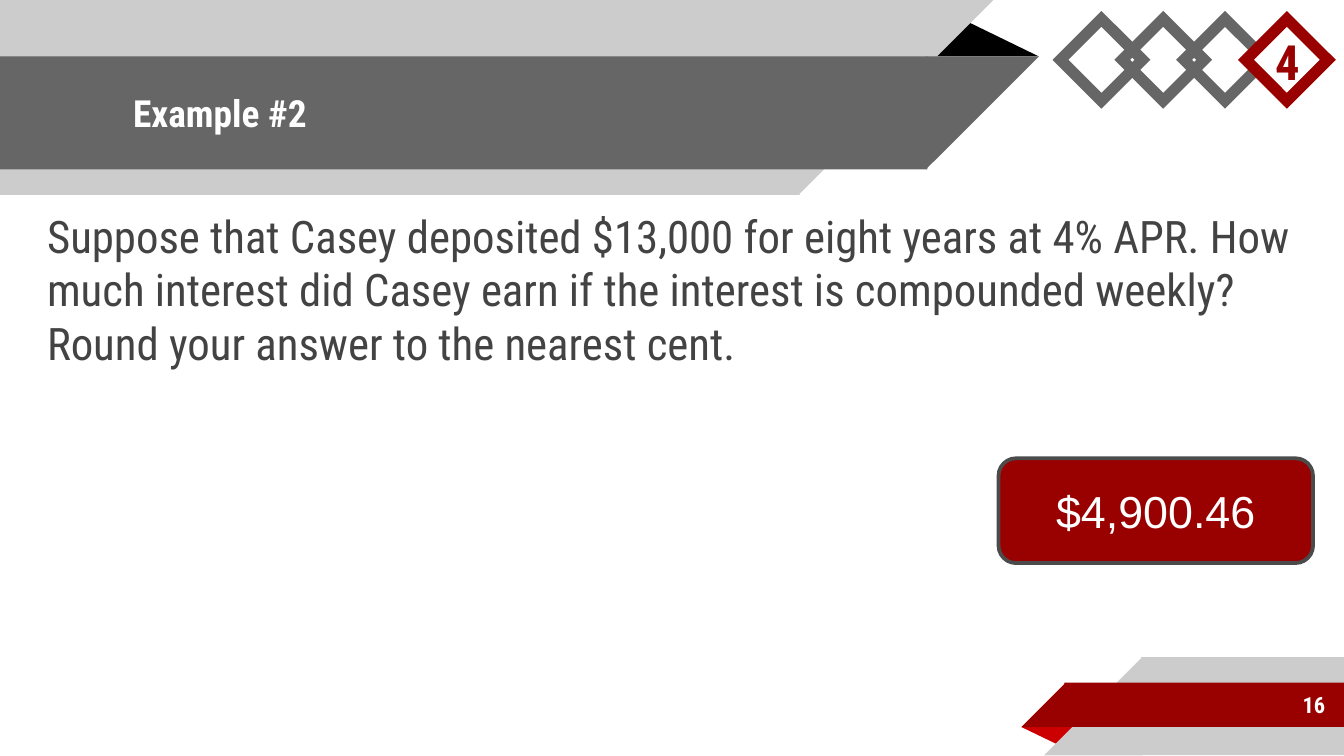
from lxml import etree
from pptx import Presentation
from pptx.dml.color import RGBColor
from pptx.enum.shapes import MSO_SHAPE
from pptx.enum.text import MSO_ANCHOR, MSO_AUTO_SIZE, PP_ALIGN
from pptx.oxml.ns import qn
from pptx.util import Inches, Pt

RECTANGLE, CORNER = MSO_SHAPE.RECTANGLE, MSO_SHAPE.RIGHT_TRIANGLE
TRIANGLE, DIAMOND = MSO_SHAPE.ISOSCELES_TRIANGLE, MSO_SHAPE.DIAMOND
ANSWER_SHAPE = MSO_SHAPE.FLOWCHART_ALTERNATE_PROCESS
TOP, MIDDLE, BOTTOM = MSO_ANCHOR.TOP, MSO_ANCHOR.MIDDLE, MSO_ANCHOR.BOTTOM
LEFT, CENTER, RIGHT = PP_ALIGN.LEFT, PP_ALIGN.CENTER, PP_ALIGN.RIGHT

THEME = {
    "white": "FFFFFF", "black": "000000", "pale": "CCCCCC", "gray": "666666",
    "ink": "434343", "edge": "4B4B4B", "red": "990000", "bright": "CC0000",
    "font": "Roboto Condensed", "answer_font": "Arial",
    "title": 20, "body": 24, "number": 12, "badge": 26,
}

TITLE = "Example #2"
QUESTION = ("Suppose that Casey deposited $13,000 for eight years at 4% APR. "
            "How much interest did Casey earn if the interest is compounded weekly? "
            "Round your answer to the nearest cent.")
ANSWER = "$4,900.46"
PAGE_NUMBER = "16"
SECTION = "4"

WIDTH = 10
HEIGHT = WIDTH * 9 / 16
OVERLAP = 0.01
FOOTER_BANDS = [(8.5, 4.89, 0.73, "pale"), (7.93, 5.08, 0.33, "red")]
HEADER_BANDS = [(5.94, 0, 1.45, "pale"), (6.89, 0.42, 0.84, "gray")]
FOLDS = {"footer": ((7.6, 5.41, 0.43, 0.14), "bright", 180),
         "header": ((6.88, 0.14, 0.85, 0.28), "black", 0)}
DIAMOND_LEFT, DIAMOND_STEP, DIAMOND_SIZE = 7.89, 0.46, 0.61
DIAMONDS = [(1, "white", "gray"), (0, None, "gray"),
            (2, None, "gray"), (3, "white", "red")]


def color(name):
    return RGBColor.from_string(THEME[name])


def place(item, area):
    item.left, item.top, item.width, item.height = map(Inches, area)


def add_shape(page, kind, area, fill, line=None, weight=0, rotation=0, flip=False):
    shape = page.shapes.add_shape(kind, *map(Inches, area))
    shape.shadow.inherit = False
    shape.rotation = rotation
    if flip:
        shape.element.spPr.xfrm.set("flipH", "1")
    if fill:
        shape.fill.solid()
        shape.fill.fore_color.rgb = color(fill)
    else:
        shape.fill.background()
    if line:
        shape.line.color.rgb = color(line)
        shape.line.width = Pt(weight)
    else:
        shape.line.fill.background()
    return shape


def write(box, text, size, ink="white", font="font", bold=False,
          align=LEFT, anchor=MIDDLE, before=0, inset=0.1):
    frame = box.text_frame
    frame.word_wrap = True
    frame.auto_size = MSO_AUTO_SIZE.NONE
    frame.vertical_anchor = anchor
    frame.margin_left = frame.margin_right = Inches(0.1)
    frame.margin_top = frame.margin_bottom = Inches(inset)
    para = frame.paragraphs[0]
    para.alignment = align
    para.space_before = Pt(before)
    span = para.add_run()
    span.text = text
    span.font.name = THEME[font]
    span.font.size = Pt(THEME[size])
    span.font.bold = bold
    span.font.color.rgb = color(ink)
    return para


def add_text(page, area, text, size, **style):
    return write(page.shapes.add_textbox(*map(Inches, area)), text, size, **style)


def add_fold(page, name):
    area, fill, rotation = FOLDS[name]
    fold = add_shape(page, TRIANGLE, area, fill, rotation=rotation)
    fold.adjustments[0] = 0.324


def add_decor(page):
    add_fold(page, "footer")
    for left, top, size, fill in FOOTER_BANDS:
        add_shape(page, RECTANGLE, (left - OVERLAP, top, WIDTH - left + OVERLAP, size),
                  fill, flip=True)
        add_shape(page, CORNER, (left - size, top, size, size), fill, flip=True)
    add_fold(page, "header")
    for right, top, size, fill in HEADER_BANDS:
        turned = {"rotation": 180, "flip": True}
        add_shape(page, RECTANGLE, (0, top, right + OVERLAP, size), fill, **turned)
        add_shape(page, CORNER, (right, top, size, size), fill, **turned)


def fill_placeholders(page):
    title, body = page.placeholders
    place(title, (0.89, 0.42, 6.01, 0.84))
    place(body, (0.17, 1.45, 9.65, 3.44))
    write(title, TITLE, "title", bold=True)
    para = write(body, QUESTION, "body", ink="ink", anchor=TOP, before=6)
    props = para._p.get_or_add_pPr()
    props.set("marL", str(Inches(0.08)))
    props.set("indent", "0")
    etree.SubElement(props, qn("a:buNone"))
    for box in (title, body):
        box.element.getparent().append(box.element)


def add_badges(page):
    for slot, fill, line in DIAMONDS:
        left = DIAMOND_LEFT + slot * DIAMOND_STEP
        badge = add_shape(page, DIAMOND, (left, 0.14, DIAMOND_SIZE, DIAMOND_SIZE),
                          fill, line, weight=6)
        outline = badge.element.spPr.find(qn("a:ln"))
        etree.SubElement(outline, qn("a:miter"), lim="800000")
    add_text(page, (9.39, 0.05, 0.43, 0.72), SECTION, "badge",
             ink="red", bold=True, anchor=BOTTOM)


def main():
    deck = Presentation()
    deck.slide_width, deck.slide_height = Inches(WIDTH), Inches(HEIGHT)
    page = deck.slides.add_slide(deck.slide_layouts[1])
    add_decor(page)
    fill_placeholders(page)
    add_text(page, (8.33, 5.07, 1.63, 0.35), PAGE_NUMBER, "number",
             bold=True, align=RIGHT)
    add_badges(page)
    answer = add_shape(page, ANSWER_SHAPE, (7.43, 3.41, 2.34, 0.78),
                       "red", "edge", weight=2)
    write(answer, ANSWER, "body", font="answer_font", align=CENTER, inset=0.05)
    deck.save("out.pptx")


if __name__ == "__main__":
    main()
